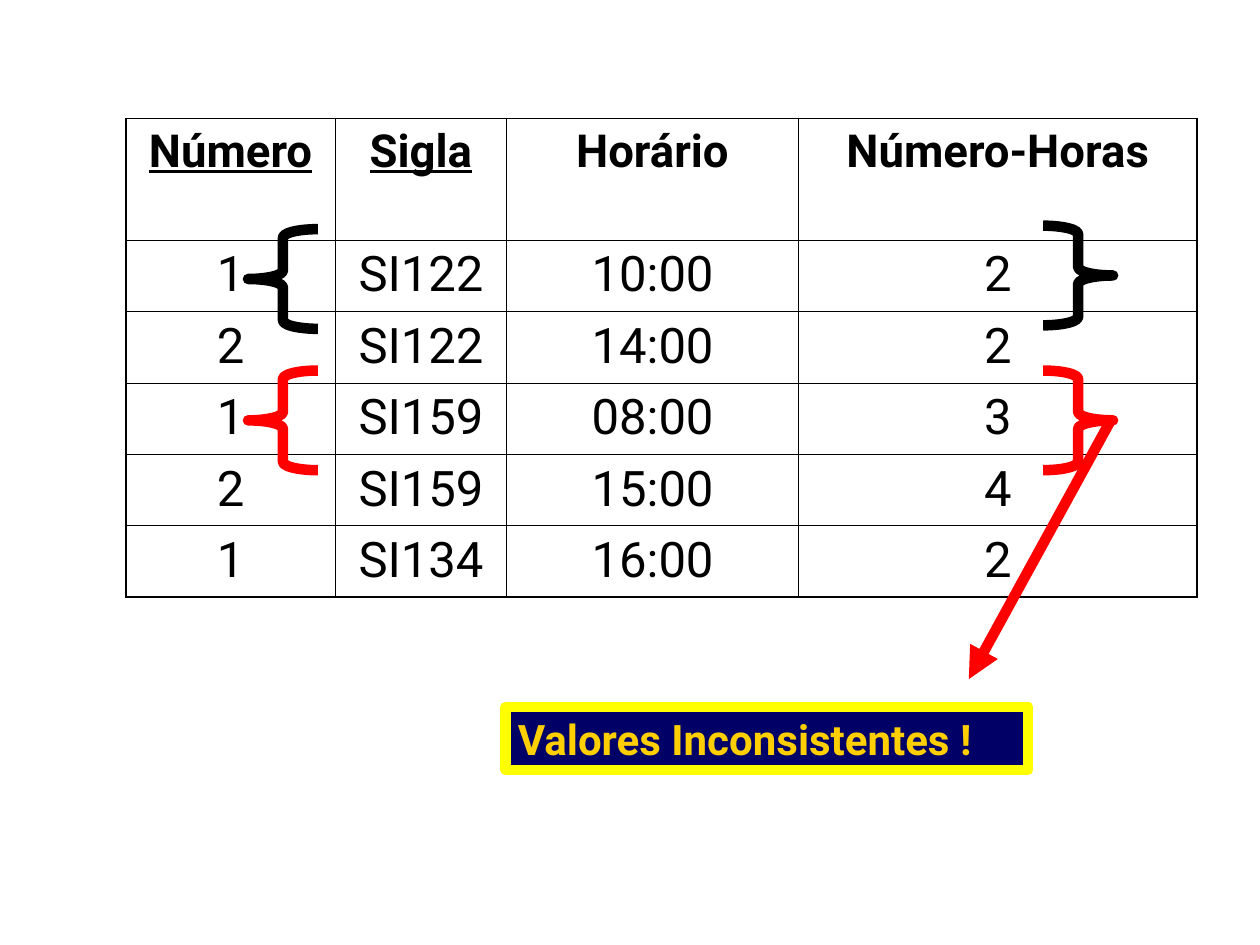
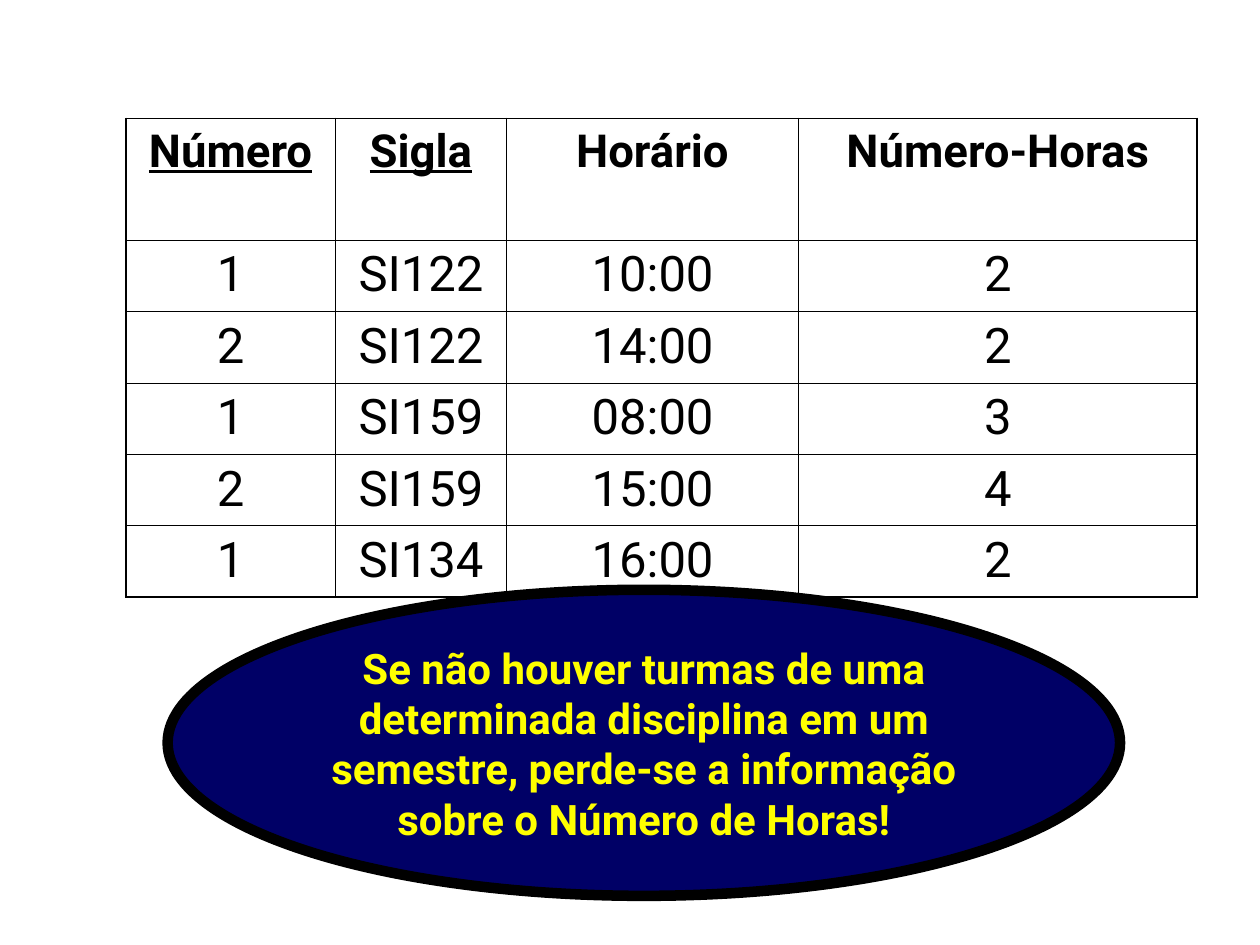
import dataclasses

import pptx
import pptx.dml.color
import pptx.enum.shapes
import pptx.enum.text
import pptx.oxml
import pptx.oxml.ns
import pptx.util

Cm = pptx.util.Cm
Pt = pptx.util.Pt
Shape = pptx.enum.shapes.MSO_SHAPE
Align = pptx.enum.text.PP_ALIGN
Anchor = pptx.enum.text.MSO_ANCHOR


@dataclasses.dataclass(frozen=True)
class Theme:
    font: str = "Roboto"
    black: str = "000000"
    white: str = "FFFFFF"
    red: str = "FF0000"
    navy: str = "000066"
    yellow: str = "FFFF00"
    gold: str = "FFCF01"
    head: float = 26
    body: float = 28
    note: float = 24
    thin: float = 0.45
    frame: float = 1.08
    thick: float = 6


HEADS = ["Número", "Sigla", "Horário", "Número-Horas"]
KEYS = HEADS[:2]
ROWS = [
    ["1", "SI122", "10:00", "2"],
    ["2", "SI122", "14:00", "2"],
    ["1", "SI159", "08:00", "3"],
    ["2", "SI159", "15:00", "4"],
    ["1", "SI134", "16:00", "2"],
]
WIDTHS = [4.22, 3.45, 5.89, 8.03]
HEIGHTS = [2.45] + [1.44] * len(ROWS)


def rgb(color):
    return pptx.dml.color.RGBColor.from_string(color)


def put(item, values):
    for name, value in values.items():
        setattr(item, name, value)


class Deck:
    def __init__(self, theme):
        self.theme = theme
        self.show = pptx.Presentation()
        put(self.show, {"slide_width": Cm(25.4), "slide_height": Cm(19.05)})
        self.slide = None

    def start(self):
        self.slide = self.show.slides.add_slide(self.show.slide_layouts[6])

    def label(self, frame, text, size, color, align=Align.CENTER, bold=True, under=False):
        para = frame.paragraphs[0]
        para.alignment = align
        run = para.add_run()
        run.text = text
        put(run.font, {"name": self.theme.font, "size": Pt(size),
                       "bold": bold, "underline": under})
        run.font.color.rgb = rgb(color)

    def stroke(self, line, color):
        line.color.rgb = rgb(color)
        line.width = Pt(self.theme.thick)

    def shape(self, kind, box, edge, fill=None):
        item = self.slide.shapes.add_shape(kind, *map(Cm, box))
        item.shadow.inherit = False
        self.stroke(item.line, edge)
        if fill:
            item.fill.solid()
            item.fill.fore_color.rgb = rgb(fill)
        else:
            item.fill.background()
        return item

    def brace(self, kind, left, top, color):
        item = self.shape(kind, (left, top, 1.41, 2.01), color)
        item.adjustments[0] = 0.12

    def note(self, kind, box, edge, text, color, align):
        item = self.shape(kind, box, edge, self.theme.navy)
        put(item.text_frame, {"word_wrap": True, "vertical_anchor": Anchor.MIDDLE})
        self.label(item.text_frame, text, self.theme.note, color, align)

    def arrow(self, start, end, color):
        item = self.slide.shapes.add_connector(
            pptx.enum.shapes.MSO_CONNECTOR.STRAIGHT, *map(Cm, start + end))
        self.stroke(item.line, color)
        props = item._element.spPr
        tip = pptx.oxml.parse_xml(
            f'<a:tailEnd {pptx.oxml.ns.nsdecls("a")} type="triangle"/>')
        props.find(pptx.oxml.ns.qn("a:ln")).append(tip)
        props.append(pptx.oxml.parse_xml(
            f'<a:effectLst {pptx.oxml.ns.nsdecls("a")}/>'))

    def edges(self, cell, outer):
        """Draw the four cell borders, heavier on the sides named in outer."""
        props = cell._tc.get_or_add_tcPr()
        for side in "LRTB":
            width = self.theme.frame if side in outer else self.theme.thin
            props.append(pptx.oxml.parse_xml(
                f'<a:ln{side} {pptx.oxml.ns.nsdecls("a")} w="{Pt(width)}"><a:solidFill>'
                f'<a:srgbClr val="{self.theme.black}"/></a:solidFill></a:ln{side}>'))

    def table(self):
        theme = self.theme
        grid = [HEADS] + ROWS
        box = (2.54, 2.39, sum(WIDTHS), sum(HEIGHTS))
        table = self.slide.shapes.add_table(
            len(grid), len(HEADS), *map(Cm, box)).table
        put(table, {"first_row": False, "horz_banding": False})
        for col, width in zip(table.columns, WIDTHS):
            col.width = Cm(width)
        for row, height in zip(table.rows, HEIGHTS):
            row.height = Cm(height)
        for i, texts in enumerate(grid):
            for j, text in enumerate(texts):
                cell = table.cell(i, j)
                sides = {"T": i == 0, "B": i == len(ROWS),
                         "L": j == 0, "R": j == len(HEADS) - 1}
                self.edges(cell, [side for side, on in sides.items() if on])
                cell.fill.solid()
                cell.fill.fore_color.rgb = rgb(theme.white)
                self.label(cell.text_frame, text, theme.body if i else theme.head,
                           theme.black, bold=i == 0, under=text in KEYS)


def main():
    theme = Theme()
    deck = Deck(theme)

    deck.start()
    deck.table()
    for color, left_top, right_top in [(theme.black, 4.62, 4.55),
                                       (theme.red, 7.47, 7.47)]:
        deck.brace(Shape.LEFT_BRACE, 5, left_top, color)
        deck.brace(Shape.RIGHT_BRACE, 21.03, right_top, color)
    deck.note(Shape.RECTANGLE, (10.19, 14.25, 10.54, 1.27), theme.yellow,
              "Valores Inconsistentes !", theme.gold, Align.LEFT)
    deck.arrow((22.4, 8.46), (19.53, 13.69), theme.red)

    deck.start()
    deck.table()
    deck.note(Shape.OVAL, (3.38, 11.89, 19.2, 6.17), theme.black,
              "Se não houver turmas de uma determinada disciplina em um semestre, "
              "perde-se a informação sobre o Número de Horas!",
              theme.yellow, Align.CENTER)

    deck.show.save("out.pptx")


if __name__ == "__main__":
    main()
